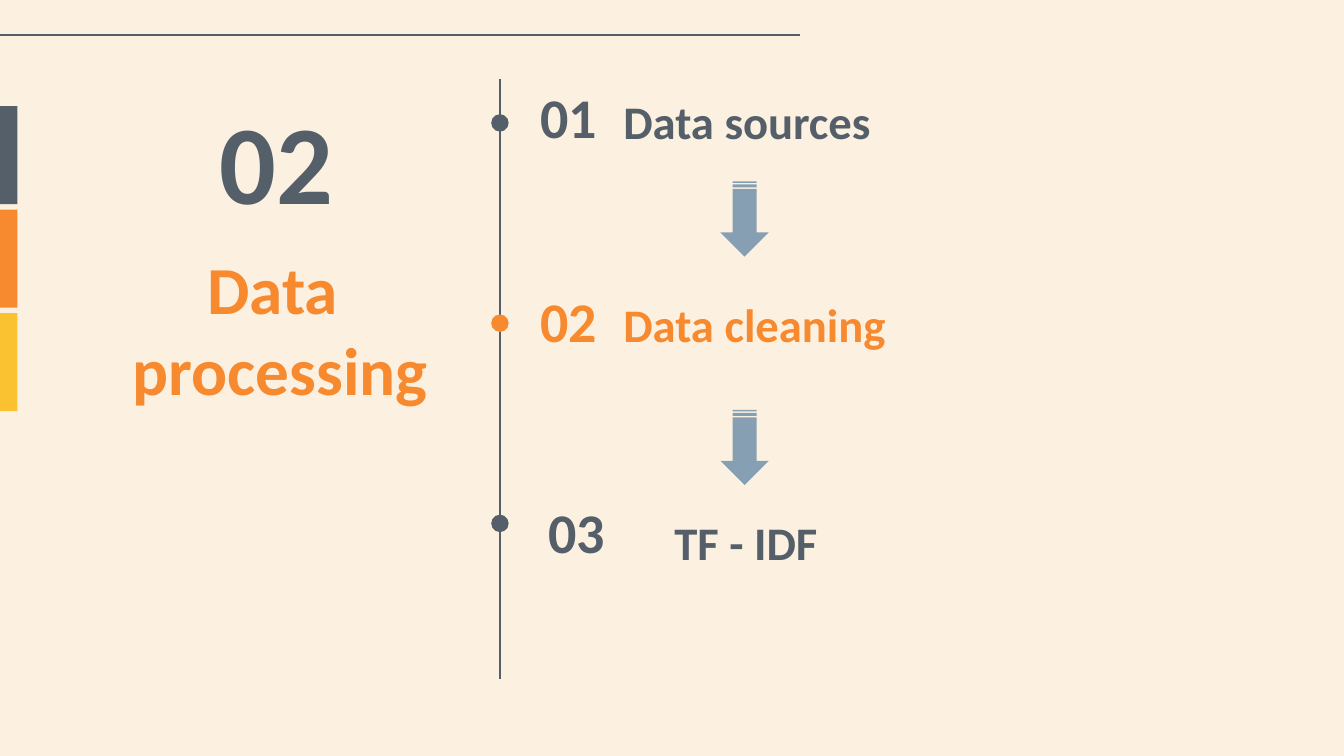
from dataclasses import dataclass

import pptx
import pptx.dml.color
import pptx.enum.shapes
import pptx.enum.text
import pptx.oxml.xmlchemy
import pptx.slide
import pptx.util

Inches = pptx.util.Inches
RGBColor = pptx.dml.color.RGBColor
MSO_SHAPE = pptx.enum.shapes.MSO_SHAPE
PP_ALIGN = pptx.enum.text.PP_ALIGN
MSO_ANCHOR = pptx.enum.text.MSO_ANCHOR
Slide = pptx.slide.Slide

CREAM = RGBColor(0xFC, 0xF1, 0xE1)
SLATE = RGBColor(0x55, 0x5F, 0x69)
ORANGE = RGBColor(0xF7, 0x89, 0x2F)
YELLOW = RGBColor(0xFA, 0xC2, 0x31)
STEEL = RGBColor(0x86, 0x9F, 0xB2)

FONT = "Calibri"
TIMELINE_X = 3.72
DOT_SIZE = 0.13
DOT_TOP, DOT_STEP = 0.85, 1.49
BAR_TOP, BAR_STEP = 0.79, 0.77


@dataclass(frozen=True)
class Box:
    left: float
    top: float
    width: float
    height: float


@dataclass(frozen=True)
class Step:
    number: str
    label: str
    color: RGBColor
    number_box: Box
    label_box: Box
    align: PP_ALIGN = PP_ALIGN.LEFT


STEPS = [
    Step("01", "Data sources", SLATE,
         Box(3.85, 0.64, 0.69, 0.45), Box(4.54, 0.59, 4.86, 0.45)),
    Step("02", "Data cleaning", ORANGE,
         Box(3.85, 2.16, 0.69, 0.45), Box(4.54, 2.1, 4.86, 0.45)),
    Step("03", "TF - IDF", SLATE,
         Box(3.91, 3.73, 0.69, 0.45), Box(4.61, 3.72, 1.88, 0.45), PP_ALIGN.CENTER),
]


def place(box: Box) -> tuple:
    return Inches(box.left), Inches(box.top), Inches(box.width), Inches(box.height)


def add_shape(slide: Slide, kind: MSO_SHAPE, box: Box, color: RGBColor,
              rotation: float = 0) -> None:
    sp = slide.shapes.add_shape(kind, *place(box))
    sp.shadow.inherit = False
    sp.fill.solid()
    sp.fill.fore_color.rgb = color
    sp.line.fill.background()
    sp.rotation = rotation


def add_line(slide: Slide, x1: float, y1: float, x2: float, y2: float) -> None:
    line = slide.shapes.add_connector(
        pptx.enum.shapes.MSO_CONNECTOR.STRAIGHT,
        Inches(x1), Inches(y1), Inches(x2), Inches(y2))
    line.line.color.rgb = SLATE
    line.line.width = pptx.util.Pt(0.75)
    line._element.spPr.append(pptx.oxml.xmlchemy.OxmlElement("a:effectLst"))


def add_text(slide: Slide, text: str, box: Box, size: int, color: RGBColor,
             align: PP_ALIGN, anchor: MSO_ANCHOR = MSO_ANCHOR.TOP) -> None:
    tf = slide.shapes.add_textbox(*place(box)).text_frame
    tf.word_wrap = True
    tf.vertical_anchor = anchor
    tf.margin_left = tf.margin_right = tf.margin_top = tf.margin_bottom = Inches(0.1)
    p = tf.paragraphs[0]
    p.text = text
    p.alignment = align
    for r in p.runs:
        r.font.name = FONT
        r.font.size = pptx.util.Pt(size)
        r.font.bold = True
        r.font.color.rgb = color


def main() -> None:
    prs = pptx.Presentation()
    prs.slide_width = Inches(10)
    prs.slide_height = Inches(10 * 9 / 16)
    slide = prs.slides.add_slide(prs.slide_layouts[6])
    slide.background.fill.solid()
    slide.background.fill.fore_color.rgb = CREAM

    for i, color in enumerate((SLATE, ORANGE, YELLOW)):
        add_shape(slide, MSO_SHAPE.RECTANGLE,
                  Box(0, BAR_TOP + i * BAR_STEP, 0.13, 0.73), color)
    add_line(slide, 5.95, 0.26, 0, 0.26)

    add_text(slide, "02", Box(1.05, 0.63, 1.53, 1.11), 60, SLATE,
             PP_ALIGN.RIGHT, MSO_ANCHOR.MIDDLE)
    add_text(slide, "Data \vprocessing", Box(0.67, 1.74, 2.83, 1.98), 36, ORANGE,
             PP_ALIGN.CENTER)

    add_line(slide, TIMELINE_X, 0.59, TIMELINE_X, 5.05)
    for i, step in enumerate(STEPS):
        add_shape(slide, MSO_SHAPE.OVAL,
                  Box(TIMELINE_X - DOT_SIZE / 2, DOT_TOP + i * DOT_STEP, DOT_SIZE, DOT_SIZE),
                  step.color)
        add_text(slide, step.number, step.number_box, 30, step.color,
                 PP_ALIGN.RIGHT, MSO_ANCHOR.MIDDLE)
        add_text(slide, step.label, step.label_box, 25, step.color, step.align)

    for top in (1.45, 3.15):
        add_shape(slide, MSO_SHAPE.STRIPED_RIGHT_ARROW,
                  Box(5.26, top, 0.56, 0.36), STEEL, rotation=90)

    prs.save("out.pptx")


if __name__ == "__main__":
    main()
